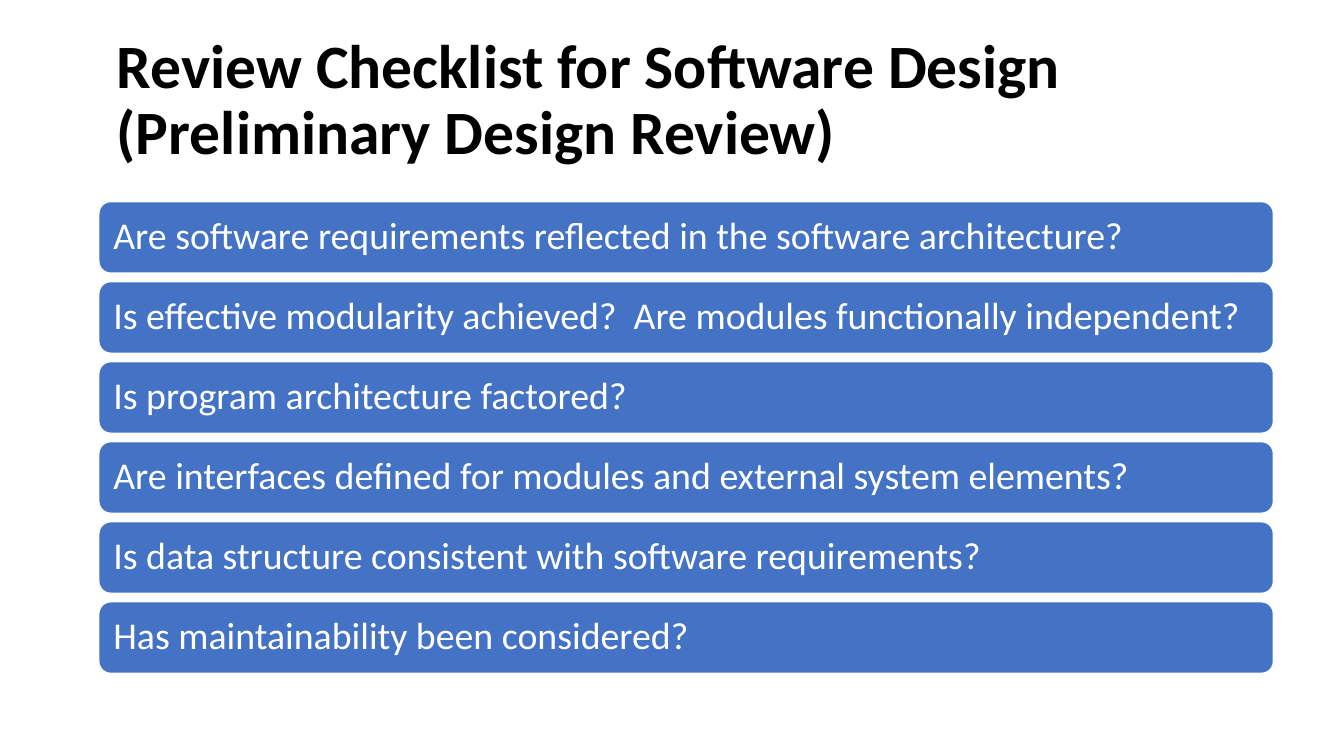
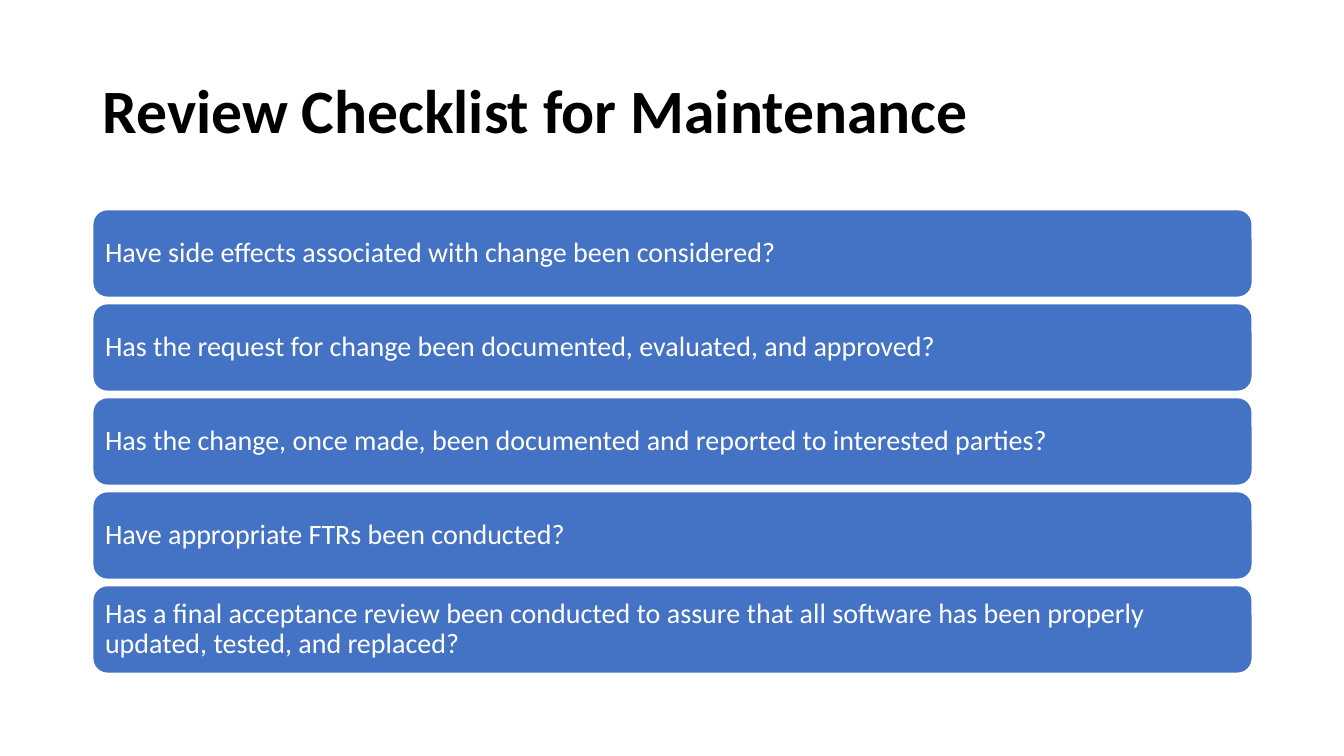
"""Build two review checklist slides."""
import pptx
import pptx.util
import pptx.dml.color
import pptx.enum.shapes
import pptx.enum.text

Inches = pptx.util.Inches
FONT = "Calibri"
BLACK, WHITE, BLUE = "000000", "FFFFFF", "4472C4"
BOTTOM = 6.68

DESIGN = [
    "Are software requirements reflected in the software architecture?",
    "Is effective modularity achieved?  Are modules functionally independent?",
    "Is program architecture factored?",
    "Are interfaces defined for modules and external system elements?",
    "Is data structure consistent with software requirements?",
    "Has maintainability been considered?",
]
UPKEEP = [
    "Have side effects associated with change been considered?",
    "Has the request for change been documented, evaluated, and approved?",
    "Has the change, once made, been documented and reported to interested parties?",
    "Have appropriate FTRs been conducted?",
    "Has a final acceptance review been conducted to assure that all software "
    "has been properly updated, tested, and replaced?",
]


def color(code):
    return pptx.dml.color.RGBColor.from_string(code)


def write(shape, text, size, ink, side, edge, bold=False):
    frame = shape.text_frame
    frame.word_wrap = True
    frame.vertical_anchor = pptx.enum.text.MSO_ANCHOR.MIDDLE
    frame.margin_left = frame.margin_right = Inches(side)
    frame.margin_top = frame.margin_bottom = Inches(edge)
    frame.text = text
    line = frame.paragraphs[0]
    line.alignment = pptx.enum.text.PP_ALIGN.LEFT
    line.line_spacing = 0.9
    line.font.name = FONT
    line.font.size = pptx.util.Pt(size)
    line.font.bold = bold
    line.font.color.rgb = color(ink)


def title(slide, text, left, top):
    box = slide.shapes.add_textbox(Inches(left), Inches(top), Inches(11.5), Inches(1.45))
    write(box, text, 44, BLACK, 0.1, 0.05, True)


def bar(slide, text, left, top, width, height, size, inset):
    shape = slide.shapes.add_shape(
        pptx.enum.shapes.MSO_SHAPE.ROUNDED_RECTANGLE,
        Inches(left), Inches(top), Inches(width), Inches(height))
    shape.shadow.inherit = False
    shape.fill.solid()
    shape.fill.fore_color.rgb = color(BLUE)
    shape.line.color.rgb = color(WHITE)
    shape.line.width = pptx.util.Pt(1)
    write(shape, text, size, WHITE, inset, inset)


def checklist(slide, items, left, top, width, height, size, inset):
    step = (BOTTOM - height - top) / (len(items) - 1)
    for row, text in enumerate(items):
        bar(slide, text, left, top + row * step, width, height, size, inset)


def main():
    deck = pptx.Presentation()
    deck.slide_width, deck.slide_height = Inches(13.33), Inches(7.5)
    blank = deck.slide_layouts[6]

    slide = deck.slides.add_slide(blank)
    title(slide, "Review Checklist for Software Design\v(Preliminary Design Review)", 1.06, 0.28)
    checklist(slide, DESIGN, 0.98, 2, 11.65, 0.71, 27, 0.11)

    slide = deck.slides.add_slide(blank)
    title(slide, "Review Checklist for Maintenance", 0.92, 0.4)
    checklist(slide, UPKEEP, 0.92, 2.08, 11.5, 0.87, 20, 0.08)

    deck.save("out.pptx")


if __name__ == "__main__":
    main()
